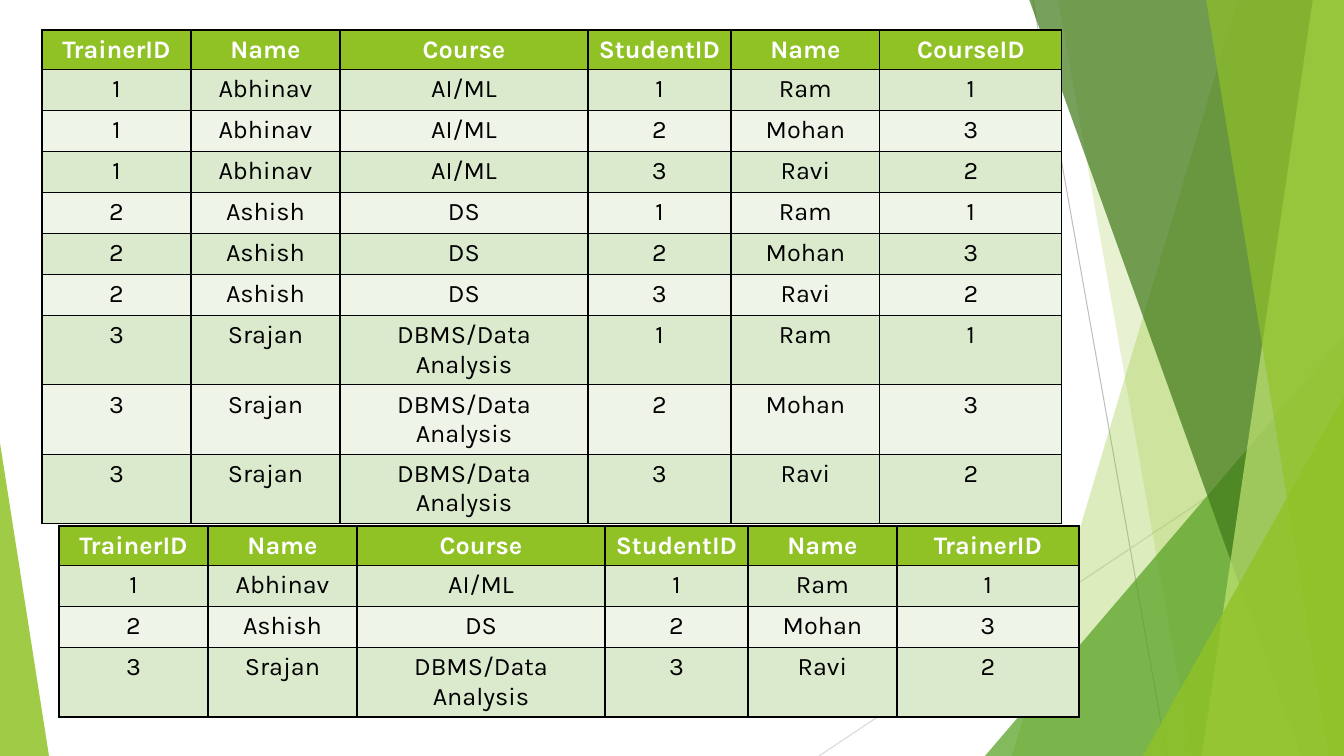
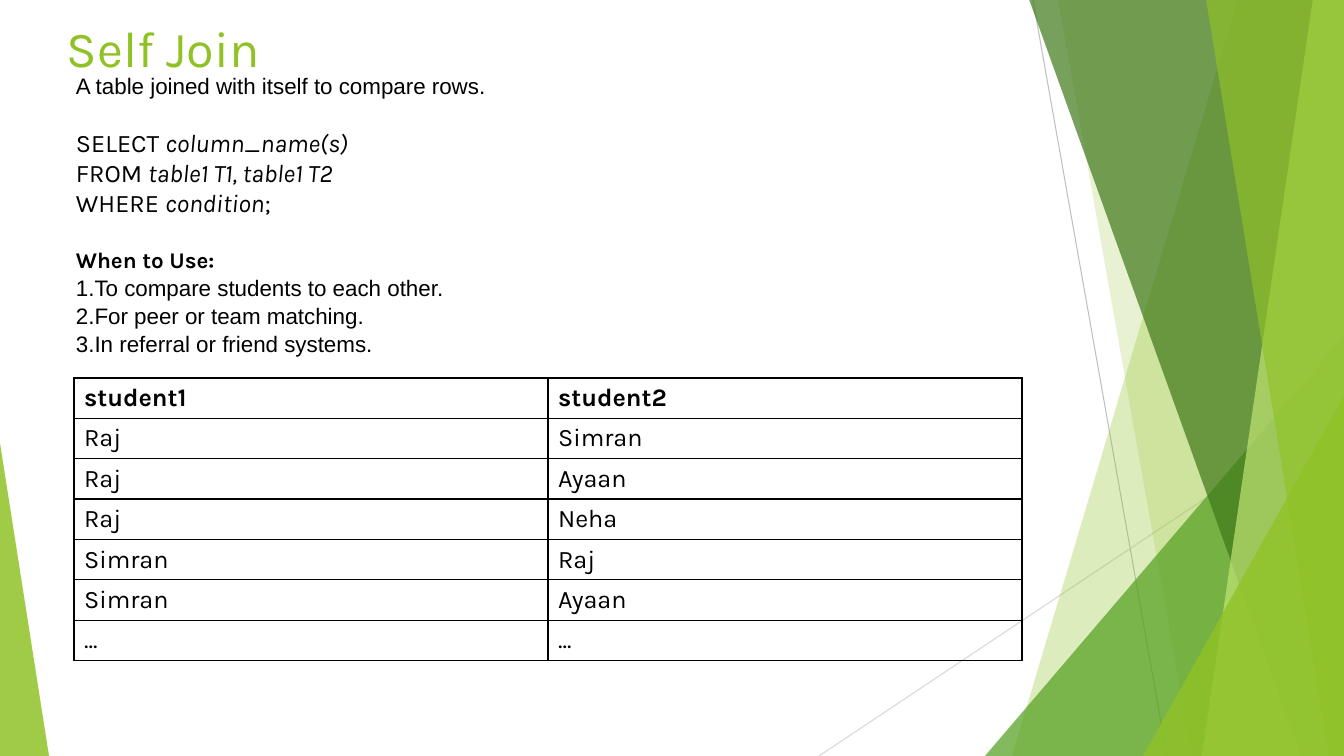
import dataclasses
import itertools

import lxml.etree
import pptx
import pptx.dml.color
import pptx.enum.shapes
import pptx.enum.text
import pptx.oxml.ns
import pptx.util

PX = 914400 / 100.8
WIDTH, HEIGHT = 1344, 756
qn = pptx.oxml.ns.qn
rgb = pptx.dml.color.RGBColor.from_string
MSO_SHAPE = pptx.enum.shapes.MSO_SHAPE
PP_ALIGN = pptx.enum.text.PP_ALIGN
MSO_ANCHOR = pptx.enum.text.MSO_ANCHOR


@dataclasses.dataclass(frozen=True)
class Theme:
    lime: str = "90C226"
    leaf: str = "54A021"
    forest: str = "3F7819"
    pale: str = "C0E474"
    band_dark: str = "DBE9CD"
    band_light: str = "EEF4E8"
    ink: str = "000000"
    white: str = "FFFFFF"
    ray_dark: str = "BFBFBF"
    ray_light: str = "D9D9D9"
    font: str = "Karla"
    plain_font: str = "Arial"
    title_size: int = 36
    table_size: int = 18
    code_size: int = 18
    body_size: int = 16


theme = Theme()


def style(run, size, color=theme.ink, font=theme.font, bold=False, italic=False):
    run.font.size = pptx.util.Pt(size)
    run.font.name = font
    run.font.color.rgb = rgb(color)
    run.font.bold = bold
    run.font.italic = italic


def add_grid(slide, left, top, widths, heights, rows, banded):
    area = [round(n * PX) for n in (left, top, sum(widths), sum(heights))]
    table = slide.shapes.add_table(len(rows), len(widths), *area).table
    table.horz_banding = False
    for column, width in zip(table.columns, widths):
        column.width = round(width * PX)
    for row, height in zip(table.rows, heights):
        row.height = round(height * PX)
    for r, c in itertools.product(range(len(rows)), range(len(widths))):
        cell = table.cell(r, c)
        properties = cell._tc.get_or_add_tcPr()
        for side in ("a:lnL", "a:lnR", "a:lnT", "a:lnB"):
            border = lxml.etree.SubElement(properties, qn(side), w=str(pptx.util.Pt(1)))
            solid = lxml.etree.SubElement(border, qn("a:solidFill"))
            lxml.etree.SubElement(solid, qn("a:srgbClr"), val=theme.ink)
        color = theme.ink
        if banded:
            cell.fill.solid()
            band = theme.band_dark if r % 2 else theme.band_light
            cell.fill.fore_color.rgb = rgb(band if r else theme.lime)
            color = theme.ink if r else theme.white
        else:
            cell.fill.background()
        cell.vertical_anchor = MSO_ANCHOR.TOP if banded else MSO_ANCHOR.MIDDLE
        paragraph = cell.text_frame.paragraphs[0]
        paragraph.text = rows[r][c]
        paragraph.alignment = PP_ALIGN.CENTER if banded else PP_ALIGN.LEFT
        style(paragraph.runs[0], theme.table_size, color, bold=r == 0)


deck = pptx.Presentation()
deck.slide_width = round(WIDTH * PX)
deck.slide_height = round(HEIGHT * PX)
blank = deck.slide_layouts[6]
for placeholder in list(blank.placeholders):
    blank.shapes.element.remove(placeholder.element)
joins = deck.slides.add_slide(blank)

backdrop = []
for x1, y1, x2, y2, color in (
    (1033, 0, 1167, HEIGHT, theme.ray_dark),
    (WIDTH, 406, 819, HEIGHT, theme.ray_light),
):
    ray = joins.shapes.add_connector(
        pptx.enum.shapes.MSO_CONNECTOR.STRAIGHT, *[round(n * PX) for n in (x1, y1, x2, y2)]
    )
    ray.line.color.rgb = rgb(color)
    ray.line.width = pptx.util.Pt(0.75)
    lxml.etree.SubElement(ray.element.spPr, qn("a:effectLst"))
    backdrop.append(ray)

facets = (
    ("pane", (1238, 1012), theme.lime, 30),
    ("pane", (1058, 1192), theme.lime, 20),
    ("peak", (985, 336, 359, 1), theme.leaf, 72),
    ("pane", (1029, 1301), theme.forest, 70),
    ("pane", (1313, 1202), theme.pale, 70),
    ("pane", (1206, 1329), theme.lime, 65),
    ("peak", (1143, 396, 201, 1), theme.lime, 80),
    ("peak", (0, 443, 49, 0), theme.lime, 85),
)
for kind, geometry, color, opacity in facets:
    if kind == "pane":
        top_x, bottom_x = geometry
        outline = joins.shapes.build_freeform(top_x, -1, scale=PX)
        outline.add_line_segments([(WIDTH, -1), (WIDTH, HEIGHT), (bottom_x, HEIGHT)])
        facet = outline.convert_to_shape()
    else:
        left, top, width, tip = geometry
        facet = joins.shapes.add_shape(
            MSO_SHAPE.ISOSCELES_TRIANGLE,
            *[round(n * PX) for n in (left, top, width, HEIGHT - top)],
        )
        facet.adjustments[0] = tip
    facet.shadow.inherit = False
    facet.line.fill.background()
    facet.fill.solid()
    facet.fill.fore_color.rgb = rgb(color)
    tint = facet.element.spPr.find(".//" + qn("a:srgbClr"))
    lxml.etree.SubElement(tint, qn("a:alpha"), val=str(opacity * 1000))
    backdrop.append(facet)
for part in backdrop:
    blank.shapes.element.append(part.element)

trainers = (("1", "Abhinav", "AI/ML"), ("2", "Ashish", "DS"), ("3", "Srajan", "DBMS/Data Analysis"))
students = (("1", "Ram", "1"), ("2", "Mohan", "3"), ("3", "Ravi", "2"))
headings = ("TrainerID", "Name", "Course", "StudentID", "Name")
join_widths = (149, 149, 248, 143, 149, 182)

cross_join = [headings + ("CourseID",)]
cross_join += [trainer + student for trainer, student in itertools.product(trainers, students)]
add_grid(joins, 42, 30, join_widths, [39] + [41] * 6 + [69] * 3, cross_join, True)

matched_join = [headings + ("TrainerID",)]
matched_join += [trainer + student for trainer, student in zip(trainers, students)]
add_grid(joins, 59, 526, join_widths, [39, 41, 41, 69], matched_join, True)

self_join = deck.slides.add_slide(blank)
title = self_join.shapes.add_textbox(*[round(n * PX) for n in (57, 7, 948, 89)]).text_frame
title.word_wrap = True
title.margin_top = round(10 * PX)
title.text = "Self Join"
style(title.paragraphs[0].runs[0], theme.title_size, theme.lime)

pairs = (
    ("student1", "student2"),
    ("Raj", "Simran"),
    ("Raj", "Ayaan"),
    ("Raj", "Neha"),
    ("Simran", "Raj"),
    ("Simran", "Ayaan"),
    ("...", "..."),
)
add_grid(self_join, 74, 378, (474, 474), [40] * len(pairs), pairs, False)

explanation = self_join.shapes.add_textbox(*[round(n * PX) for n in (66, 64, 1042, 318)]).text_frame
explanation.word_wrap = True
explanation.margin_top = round(8 * PX)
summary = explanation.paragraphs[0]
summary.text = "A table joined with itself to compare rows."
style(summary.runs[0], theme.body_size, font=theme.plain_font)

syntax = explanation.add_paragraph()
syntax.space_before = pptx.util.Pt(20)
clauses = (
    ("SELECT ", "column_name(s)", ""),
    ("FROM ", "table1 T1, table1 T2", ""),
    ("WHERE ", "condition", ";"),
)
for number, clause in enumerate(clauses):
    if number:
        syntax.add_line_break()
    for position, words in enumerate(clause):
        if words:
            run = syntax.add_run()
            run.text = words
            style(run, theme.code_size, italic=position == 1)

usage = explanation.add_paragraph()
usage.text = "When to Use:"
usage.space_before = pptx.util.Pt(20)
style(usage.runs[0], theme.body_size, bold=True)
for use in (
    "To compare students to each other.",
    "For peer or team matching.",
    "In referral or friend systems.",
):
    item = explanation.add_paragraph()
    item.text = use
    item.space_before = pptx.util.Pt(1)
    style(item.runs[0], theme.body_size, font=theme.plain_font)
    numbering = item._p.get_or_add_pPr()
    numbering.set("marL", "0")
    numbering.set("indent", "0")
    lxml.etree.SubElement(numbering, qn("a:buFont"), typeface=theme.plain_font)
    lxml.etree.SubElement(numbering, qn("a:buAutoNum"), type="arabicPeriod")

deck.save("out.pptx")
